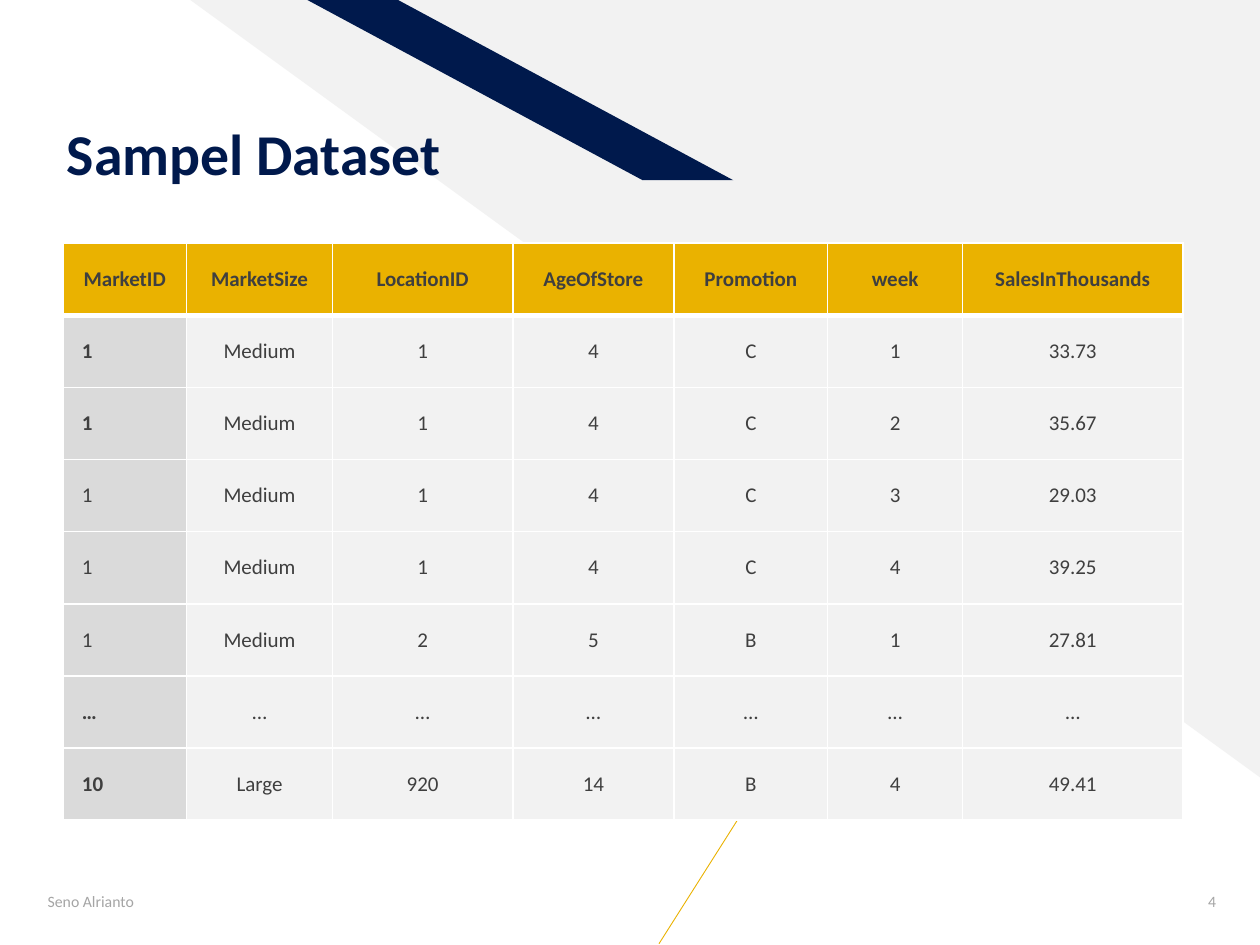
"""Build the sample dataset slide with its decorative background and table."""
from lxml.etree import SubElement
from pptx import Presentation
from pptx.dml.color import RGBColor
from pptx.enum.shapes import MSO_CONNECTOR as Connector, MSO_SHAPE as Shape
from pptx.enum.text import MSO_ANCHOR as Anchor, MSO_AUTO_SIZE as AutoSize, PP_ALIGN as Align
from pptx.oxml.ns import qn
from pptx.util import Inches, Pt

WIDTH, HEIGHT = Inches(10), Inches(7.5)
FONT = "Calibri"
COLORS = {"navy": "00194C", "gold": "EAB200", "pale": "F2F2F2", "silver": "DADADA",
          "text": "3F3F3F", "muted": "A5A5A5", "white": "FFFFFF"}
COLUMN_SHARES = [9.8, 11.6, 14.3, 12.8, 12.2, 10.7, 17.5]
HEADERS = ["MarketID", "MarketSize", "LocationID", "AgeOfStore", "Promotion", "week",
           "SalesInThousands"]
RECORDS = [
    ["1", "Medium", "1", "4", "C", "1", "33.73"],
    ["1", "Medium", "1", "4", "C", "2", "35.67"],
    ["1", "Medium", "1", "4", "C", "3", "29.03"],
    ["1", "Medium", "1", "4", "C", "4", "39.25"],
    ["1", "Medium", "2", "5", "B", "1", "27.81"],
    ["…"] * 7,
    ["10", "Large", "920", "14", "B", "4", "49.41"],
]
BOLD_ID_ROWS = {1, 2, 6, 7}


def color(name):
    """Return the named palette colour."""
    return RGBColor.from_string(COLORS[name])


def across(share):
    """Convert a percentage of the slide width to a length."""
    return round(WIDTH * share / 100)


def down(share):
    """Convert a percentage of the slide height to a length."""
    return round(HEIGHT * share / 100)


def area(left, top, width, height):
    """Convert a percentage rectangle to lengths."""
    return across(left), down(top), across(width), down(height)


def write(frame, text, size, tint, bold=False, align=Align.LEFT):
    """Put one formatted paragraph in a text frame."""
    frame.text = text
    para = frame.paragraphs[0]
    para.alignment = align
    font = para.runs[0].font
    font.name, font.size, font.bold = FONT, Pt(size), bold
    font.color.rgb = color(tint)
    return para


def add_backdrop(page, preset, share, tint, flips):
    """Add a flipped, borderless background shape."""
    shape = page.shapes.add_shape(preset, *area(*share))
    shape.shadow.inherit = False
    shape.fill.solid()
    shape.fill.fore_color.rgb = color(tint)
    shape.line.fill.background()
    for flip in flips:
        shape.element.spPr.find(qn("a:xfrm")).set(flip, "1")
    return shape


def add_accent_line(page, start, end):
    """Add the thin gold diagonal."""
    line = page.shapes.add_connector(Connector.STRAIGHT, across(start[0]), down(start[1]),
                                     across(end[0]), down(end[1]))
    line.line.color.rgb = color("gold")
    line.line.width = Pt(0.5)
    SubElement(line.element.spPr, qn("a:effectLst"))


def add_footer(page, text, share, align):
    """Add a small muted footer text."""
    box = page.shapes.add_textbox(*area(*share))
    box.text_frame.word_wrap = True
    box.text_frame.vertical_anchor = Anchor.MIDDLE
    write(box.text_frame, text, 9, "muted", align=align)


def place_title(page, text):
    """Place the title above the background and format it."""
    title = page.shapes.title
    title.left, title.top, title.width, title.height = area(4.3, 3.07, 68.3, 16.8)
    page.shapes.element.append(title.element)
    frame = title.text_frame
    frame.auto_size = AutoSize.NONE
    frame.vertical_anchor = Anchor.BOTTOM
    frame.margin_bottom = 0
    write(frame, text, 33, "navy", bold=True).line_spacing = 0.9


def add_borders(cell, widths):
    """Draw white cell borders of the given point widths by side."""
    properties = cell._tc.get_or_add_tcPr()
    for side, width in widths.items():
        border = SubElement(properties, qn(f"a:ln{side}"), w=str(Pt(width)))
        fill = SubElement(border, qn("a:solidFill"))
        SubElement(fill, qn("a:srgbClr"), val=COLORS["white"])


def format_cell(cell, text, row, column):
    """Fill and format a cell according to its row and column."""
    header, record_id = row == 0, row > 0 and column == 0
    add_borders(cell, {"L": 1, "R": 1, "T": 3 if row == 1 else 1, "B": 3 if header else 1})
    cell.fill.solid()
    cell.fill.fore_color.rgb = color("gold" if header else "silver" if record_id else "pale")
    cell.vertical_anchor = Anchor.MIDDLE
    cell.margin_left = Inches(0.15 if record_id else 0.08)
    cell.margin_right = Inches(0.08)
    cell.margin_top = cell.margin_bottom = Inches(0.04)
    write(cell.text_frame, text, 12, "text", header or (record_id and row in BOLD_ID_ROWS),
          Align.LEFT if record_id else Align.CENTER)


def add_dataset(page):
    """Add the dataset table."""
    rows = [HEADERS, *RECORDS]
    table = page.shapes.add_table(len(rows), len(HEADERS),
                                  *area(5, 25.73, sum(COLUMN_SHARES), 61.07)).table
    table.horz_banding = False
    for column, share in zip(table.columns, COLUMN_SHARES):
        column.width = across(share)
    for row, values in enumerate(rows):
        for column, text in enumerate(values):
            format_cell(table.cell(row, column), text, row, column)


def main():
    """Assemble and save the slide."""
    deck = Presentation()
    deck.slide_width, deck.slide_height = WIDTH, HEIGHT
    page = deck.slides.add_slide(deck.slide_layouts[5])
    add_backdrop(page, Shape.RIGHT_TRIANGLE, (15.1, 0, 84.9, 82.27), "pale", ["flipH", "flipV"])
    band = add_backdrop(page, Shape.PARALLELOGRAM, (24.4, 0, 33.8, 19.07), "navy", ["flipH"])
    band.adjustments[0] = 1.86
    add_accent_line(page, (52.3, 99.87), (64.8, 73.6))
    add_footer(page, "Seno Alrianto", (2.8, 92.67, 33.8, 5.33), Align.LEFT)
    add_footer(page, "4", (91.4, 92.67, 6.1, 5.33), Align.RIGHT)
    place_title(page, "Sampel Dataset")
    add_dataset(page)
    deck.save("out.pptx")


main()
